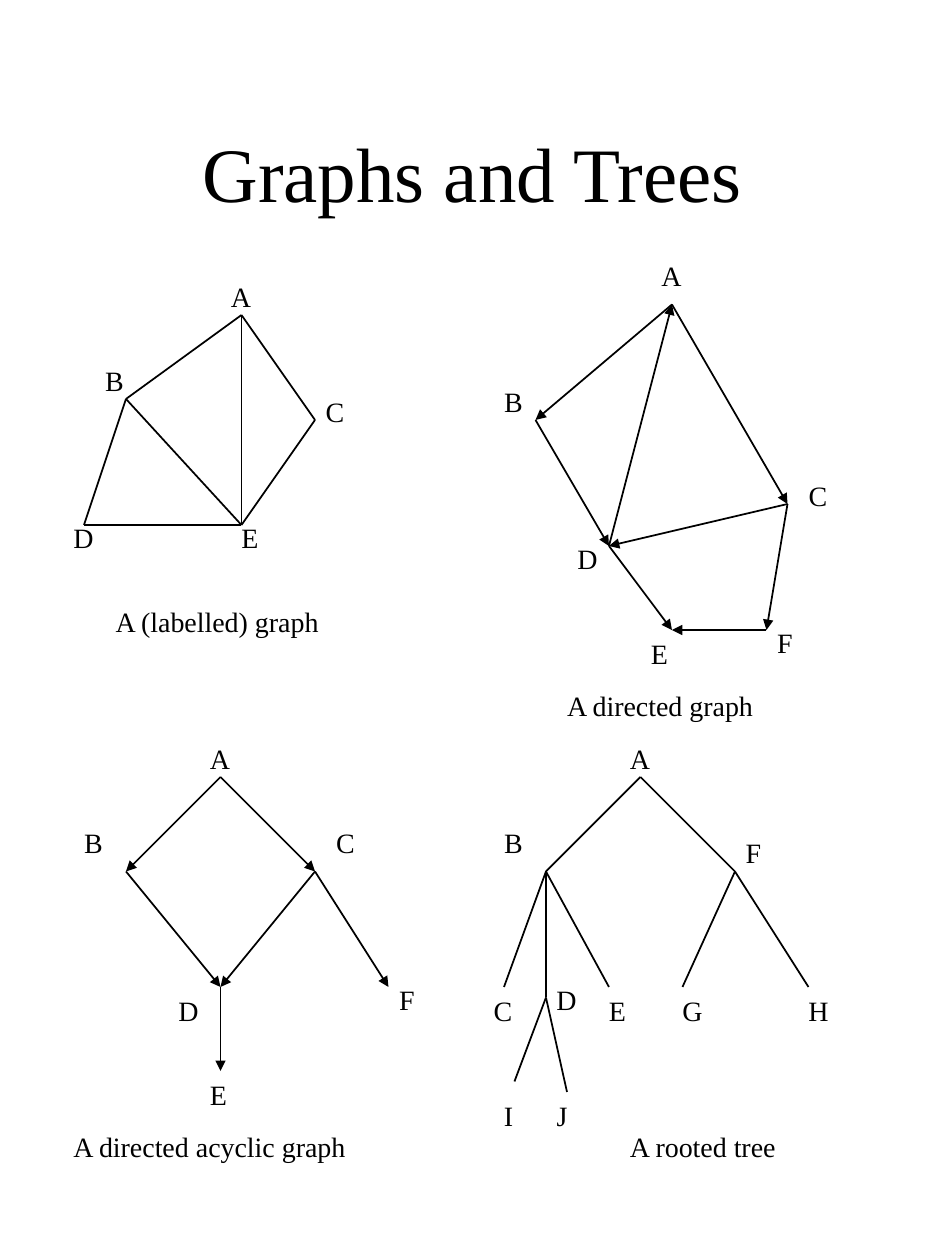
from lxml.etree import SubElement
from pptx import Presentation
from pptx.dml.color import RGBColor
from pptx.enum.shapes import MSO_CONNECTOR as Connector
from pptx.enum.text import MSO_ANCHOR as Anchor, MSO_AUTO_SIZE as AutoSize, PP_ALIGN as Align
from pptx.oxml.ns import qn
from pptx.util import Inches, Pt

WIDTH, HEIGHT = 7.5, 10
CELL = 1 / 12
NUDGE = 0.015
FONT, INK = "Times New Roman", "000000"
LABEL_HEIGHT = 0.36
LABEL_WIDTHS = {"B": 0.35, "C": 0.35, "E": 0.33, "F": 0.32, "I": 0.27, "J": 0.28}

# Each vertex: column and row of the point, then column and row of its letter.
GRAPHS = [
    dict(
        origin=(6, 24), directed=False,
        caption=("A (labelled) graph", 4, 33, 1.82),
        vertices={
            "A": (17, 6, 15, 2), "B": (6, 14, 3, 10), "C": (24, 16, 24, 13),
            "D": (2, 26, 0, 25), "E": (17, 26, 16, 25),
        },
        edges="AB AE BE ED DB AC CE",
    ),
    dict(
        origin=(46, 24), directed=True,
        caption=("A directed graph", 7, 41, 1.69),
        vertices={
            "A": (18, 5, 16, 0), "B": (5, 16, 1, 12), "C": (29, 24, 30, 21),
            "D": (12, 28, 8, 27), "E": (18, 36, 15, 36), "F": (27, 36, 27, 35),
        },
        edges="AB DA BD AC CD CF DE FE",
    ),
    dict(
        origin=(6, 70), directed=True,
        caption=("A directed acyclic graph", 0, 37, 2.37),
        vertices={
            "A": (15, 4, 13, 0), "B": (6, 13, 1, 8), "C": (24, 13, 25, 8),
            "D": (15, 24, 10, 24), "E": (15, 32, 13, 32), "F": (31, 24, 31, 23),
        },
        edges="AB BD AC CD CF DE",
    ),
    dict(
        origin=(46, 70), directed=False,
        caption=("A rooted tree", 13, 37, 1.37),
        vertices={
            "A": (15, 4, 13, 0), "B": (6, 13, 1, 8), "C": (2, 24, 0, 24),
            "D": (6, 25, 6, 23), "E": (12, 24, 11, 24), "F": (24, 13, 24, 9),
            "G": (19, 24, 18, 24), "H": (31, 24, 30, 24),
            "I": (3, 33, 1, 34), "J": (8, 34, 6, 34),
        },
        edges="AB BE AF FG FH BD BC DI DJ",
    ),
]


def paint(target, color):
    """Set a font or line to a hex colour."""
    target.color.rgb = RGBColor.from_string(color)


def add_text(slide, text, box, size):
    """Place one line of text in a box given in inches and return its frame."""
    frame = slide.shapes.add_textbox(*map(Inches, box)).text_frame
    paragraph = frame.paragraphs[0]
    paragraph.text = text
    paragraph.font.size, paragraph.font.name = Pt(size), FONT
    paint(paragraph.font, INK)
    return frame


def add_title(slide, text, box):
    """Place the centred slide title."""
    frame = add_text(slide, text, box, 44)
    frame.word_wrap = True
    frame.vertical_anchor = Anchor.MIDDLE
    frame.paragraphs[0].alignment = Align.CENTER


def add_label(slide, text, column, row, width):
    """Place a letter or caption at a grid cell."""
    box = (column * CELL - NUDGE, row * CELL, width, LABEL_HEIGHT)
    frame = add_text(slide, text, box, 16)
    frame.word_wrap = False
    frame.auto_size = AutoSize.SHAPE_TO_FIT_TEXT


def add_edge(slide, start, end, directed):
    """Draw an edge between two grid points, with an arrowhead if directed."""
    ends = [Inches(position * CELL) for position in (*start, *end)]
    edge = slide.shapes.add_connector(Connector.STRAIGHT, *ends)
    edge.line.width = Pt(1)
    paint(edge.line, INK)
    if directed:
        SubElement(edge.line._get_or_add_ln(), qn("a:tailEnd"), type="triangle")
    SubElement(edge._element.spPr, qn("a:effectLst"))


def add_graph(slide, origin, directed, caption, vertices, edges):
    """Draw a graph with its letters and caption relative to its origin cell."""
    left, top = origin
    points = {name: (left + x, top + y) for name, (x, y, _, _) in vertices.items()}
    for start, end in edges.split():
        add_edge(slide, points[start], points[end], directed)
    for name, (_, _, column, row) in vertices.items():
        add_label(slide, name, left + column, top + row, LABEL_WIDTHS.get(name, 0.36))
    text, column, row, width = caption
    add_label(slide, text, left + column, top + row, width)


def main():
    """Build the slide and save it."""
    deck = Presentation()
    deck.slide_width, deck.slide_height = Inches(WIDTH), Inches(HEIGHT)
    slide = deck.slides.add_slide(deck.slide_layouts[6])
    add_title(slide, "Graphs and Trees", (0.56, 0.89, 0.85 * WIDTH, 0.94))
    for graph in GRAPHS:
        add_graph(slide, **graph)
    deck.save("out.pptx")


if __name__ == "__main__":
    main()
